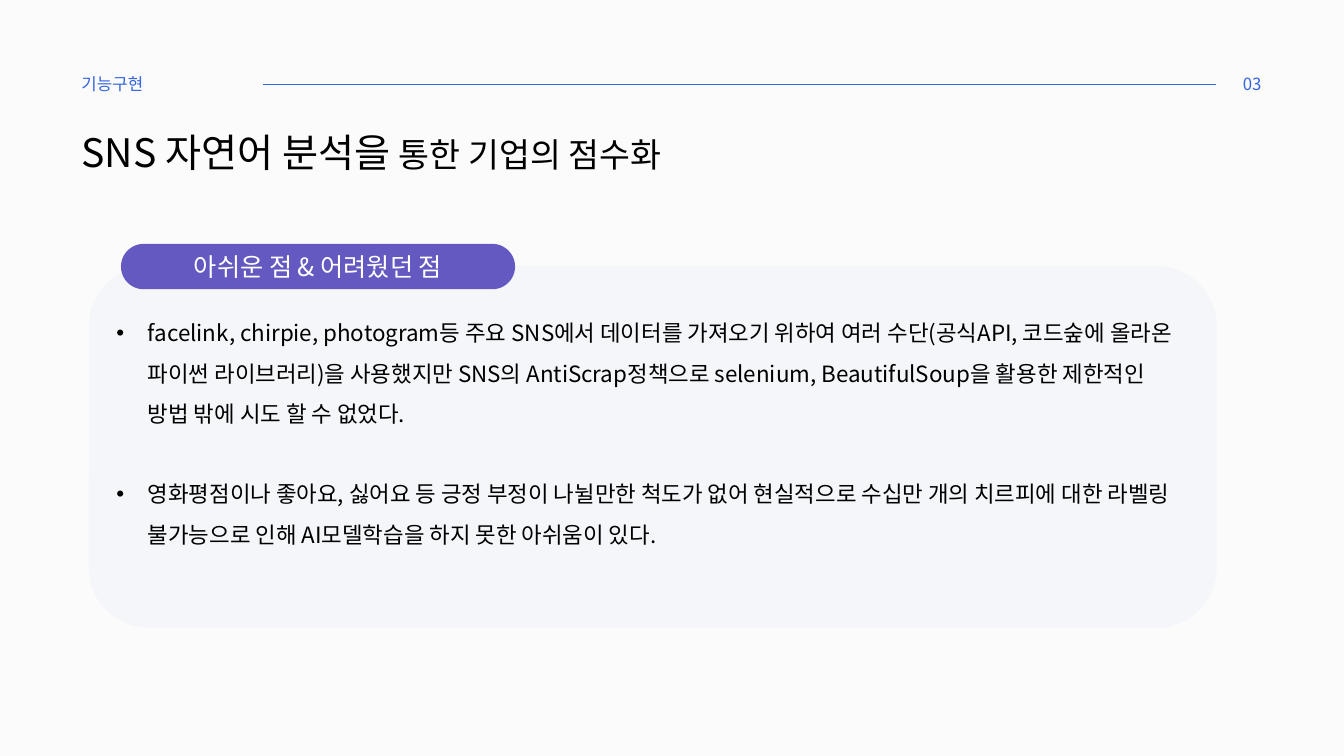
from dataclasses import dataclass

import pptx
import pptx.dml.color
import pptx.enum.shapes
import pptx.enum.text
import pptx.oxml
import pptx.oxml.ns
import pptx.util
from lxml import etree

Pt = pptx.util.Pt
RGB = pptx.dml.color.RGBColor.from_string
Align = pptx.enum.text.PP_ALIGN
Anchor = pptx.enum.text.MSO_ANCHOR
qn = pptx.oxml.ns.qn


@dataclass(frozen=True)
class Theme:
    font: str = "Noto Sans CJK KR"
    background: str = "FBFBFB"
    ink: str = "000000"
    accent: str = "3464E0"
    panel: str = "F4F6F9"
    pill: str = "6459C1"
    on_pill: str = "FFFFFF"
    title_size: float = 28
    subtitle_size: float = 24
    heading_size: float = 18
    body_size: float = 16
    label_size: float = 12


@dataclass(frozen=True)
class Box:
    left: float
    top: float
    width: float
    height: float

    def lengths(self) -> tuple:
        return tuple(Pt(v) for v in (self.left, self.top, self.width, self.height))


@dataclass(frozen=True)
class Label:
    text: str
    box: Box


THEME = Theme()
RULE_Y = 60.5
BODY_LINE = 28.7  # height of one body line at 1.5 spacing
BULLET_INDENT = 22.5

LABELS = [
    Label("기능구현", Box(51.1, 49, 63.4, 21.6)),
    Label("03", Box(880.6, 49, 29.5, 21.6)),
]
TITLE_PARTS = [
    ("SNS 자연어 분석을 ", THEME.title_size),
    ("통한 기업의 점수화", THEME.subtitle_size),
]
DIFFICULTIES = [
    "facelink, chirpie, photogram등 주요 SNS에서 데이터를 가져오기 위하여 여러 수단"
    "(공식API, 코드숲에 올라온 파이썬 라이브러리)을 사용했지만 SNS의 AntiScrap정책으로 "
    "selenium, BeautifulSoup을 활용한 제한적인 방법 밖에 시도 할 수 없었다.",
    "영화평점이나 좋아요, 싫어요 등 긍정 부정이 나뉠만한 척도가 없어 현실적으로 "
    "수십만 개의 치르피에 대한 라벨링 불가능으로 인해 AI모델학습을 하지 못한 아쉬움이 있다.",
]


def set_font(paragraph, size: float, color: str) -> None:
    """Format a paragraph, for Latin and Korean letters alike."""
    paragraph.font.size = Pt(size)
    paragraph.font.name = THEME.font
    paragraph.font.color.rgb = RGB(color)
    defaults = paragraph._p.pPr.find(qn("a:defRPr"))
    etree.SubElement(defaults, qn("a:ea")).set("typeface", THEME.font)


def add_bullet(paragraph) -> None:
    properties = paragraph._p.pPr
    properties.set("marL", str(Pt(BULLET_INDENT)))
    properties.set("indent", str(-Pt(BULLET_INDENT)))
    defaults = properties.find(qn("a:defRPr"))
    for tag, key, value in (("a:buFont", "typeface", "Arial"), ("a:buChar", "char", "•")):
        mark = pptx.oxml.parse_xml(f"<{tag} {pptx.oxml.ns.nsdecls('a')}/>")
        mark.set(key, value)
        defaults.addprevious(mark)


def add_rounded(slide, box: Box, fill: str):
    shape = slide.shapes.add_shape(
        pptx.enum.shapes.MSO_SHAPE.ROUNDED_RECTANGLE, *box.lengths())
    shape.shadow.inherit = False
    shape.fill.solid()
    shape.fill.fore_color.rgb = RGB(fill)
    shape.line.fill.background()
    shape.text_frame.word_wrap = True
    shape.text_frame.vertical_anchor = Anchor.MIDDLE
    return shape


def add_label(slide, label: Label) -> None:
    frame = slide.shapes.add_textbox(*label.box.lengths()).text_frame
    frame.word_wrap = False
    frame.auto_size = pptx.enum.text.MSO_AUTO_SIZE.SHAPE_TO_FIT_TEXT
    frame.text = label.text
    set_font(frame.paragraphs[0], THEME.label_size, THEME.accent)


def set_title(slide, box: Box) -> None:
    title = slide.shapes.title
    title.left, title.top, title.width, title.height = box.lengths()
    frame = title.text_frame
    frame.word_wrap = True
    frame.auto_size = pptx.enum.text.MSO_AUTO_SIZE.SHAPE_TO_FIT_TEXT
    frame.vertical_anchor = Anchor.TOP
    heading = frame.paragraphs[0]
    heading.alignment = Align.LEFT
    heading.space_before = Pt(3)
    set_font(heading, THEME.title_size, THEME.ink)
    for text, size in TITLE_PARTS:
        part = heading.add_run()
        part.text = text
        part.font.size = Pt(size)


def add_difficulties(slide, box: Box) -> None:
    frame = add_rounded(slide, box, THEME.panel).text_frame
    frame.margin_bottom = Pt(3.6 + BODY_LINE)
    for index, text in enumerate(DIFFICULTIES):
        item = frame.add_paragraph() if index else frame.paragraphs[0]
        item.text = text
        item.alignment = Align.LEFT
        item.line_spacing = 1.5
        item.space_before = Pt(BODY_LINE if index else 0)
        set_font(item, THEME.body_size, THEME.ink)
        add_bullet(item)


def add_pill(slide, text: str, box: Box) -> None:
    pill = add_rounded(slide, box, THEME.pill)
    pill.adjustments[0] = 0.5
    pill.text_frame.text = text
    heading = pill.text_frame.paragraphs[0]
    heading.alignment = Align.CENTER
    set_font(heading, THEME.heading_size, THEME.on_pill)


def add_rule(slide, start: float, end: float, y: float) -> None:
    rule = slide.shapes.add_connector(
        pptx.enum.shapes.MSO_CONNECTOR.STRAIGHT, Pt(start), Pt(y), Pt(end), Pt(y))
    rule.line.color.rgb = RGB(THEME.accent)
    rule.line.width = Pt(1)
    etree.SubElement(rule._element.spPr, qn("a:effectLst"))


def main() -> None:
    deck = pptx.Presentation()
    deck.slide_width, deck.slide_height = Pt(960), Pt(540)
    slide = deck.slides.add_slide(deck.slide_layouts.get_by_name("Title Only"))
    slide.background.fill.solid()
    slide.background.fill.fore_color.rgb = RGB(THEME.background)

    # Title
    set_title(slide, Box(51.1, 87.8, 684, 41))

    # Panel of difficulties with its heading
    add_difficulties(slide, Box(63.4, 190, 805.7, 258.5))
    add_pill(slide, "아쉬운 점 & 어려웠던 점", Box(86.4, 174.2, 281.5, 32.4))

    # Header strip
    for label in LABELS:
        add_label(slide, label)
    add_rule(slide, 187.9, 868.3, RULE_Y)

    deck.save("out.pptx")


if __name__ == "__main__":
    main()
